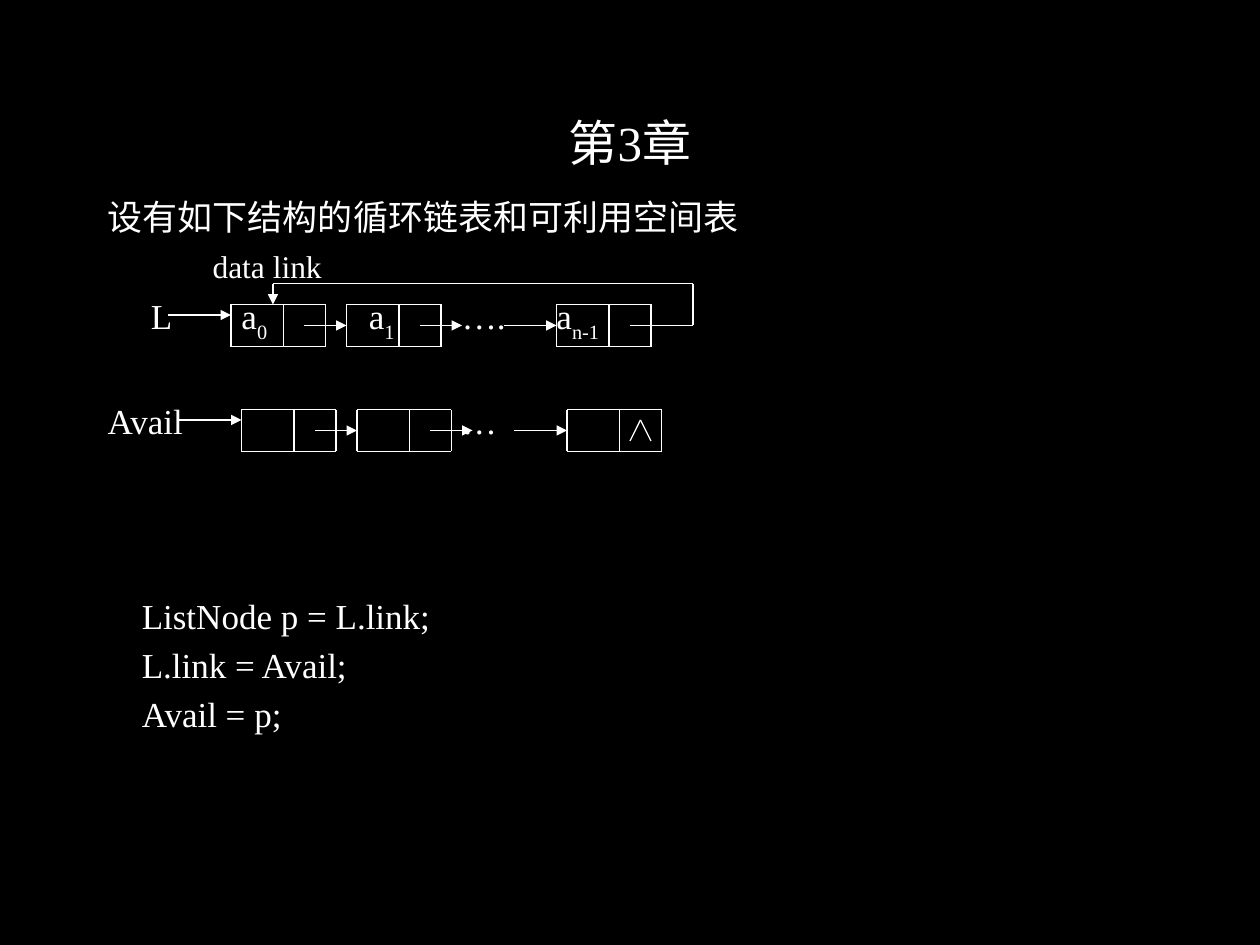
"""Build the chapter 3 slide on a circular linked list and its available-space list."""
from itertools import pairwise

from lxml.etree import SubElement
from pptx import Presentation
from pptx.dml.color import RGBColor
from pptx.enum.shapes import MSO_CONNECTOR as Connector
from pptx.enum.text import MSO_ANCHOR as Anchor, PP_ALIGN as Align
from pptx.oxml.ns import qn
from pptx.util import Pt

EMU_PER_PX = 9525
COLORS = {"background": "000000", "ink": "FFFFFF"}
FONT = "Times New Roman"
NODE_WIDTH, NODE_HEIGHT, DATA_WIDTH = 72, 32, 40


def px(value):
    return value * EMU_PER_PX


def color(name):
    return RGBColor.from_string(COLORS[name])


class ListSlide:
    def __init__(self, slide):
        self.slide = slide
        self.shapes = slide.shapes
        fill = slide.background.fill
        fill.solid()
        fill.fore_color.rgb = color("background")

    def text(self, left, top, width, height, lines, size=20,
             align=Align.LEFT, anchor=Anchor.TOP, gap=0, subscript=""):
        shape = self.shapes.add_textbox(*map(px, (left, top, width, height)))
        frame = shape.text_frame
        frame.word_wrap = True
        frame.vertical_anchor = anchor
        frame.margin_left = frame.margin_right = frame.margin_top = frame.margin_bottom = 0
        for index, line in enumerate(lines):
            paragraph = frame.add_paragraph() if index else frame.paragraphs[0]
            paragraph.alignment = align
            if index:
                paragraph.space_before = Pt(gap)
            paragraph.add_run().text = line
            if subscript:
                run = paragraph.add_run()
                run.text = subscript
                run._r.get_or_add_rPr().set("baseline", "-30000")
            paragraph.font.name = FONT
            paragraph.font.size = Pt(size)
            paragraph.font.color.rgb = color("ink")

    def line(self, start, end, arrow=False):
        connector = self.shapes.add_connector(Connector.STRAIGHT, *map(px, start + end))
        connector.line.color.rgb = color("ink")
        connector.line.width = Pt(0.75)
        SubElement(connector._element.spPr, qn("a:effectLst"))
        if arrow:
            SubElement(connector.line._get_or_add_ln(), qn("a:tailEnd"), type="triangle")

    def node(self, left, top):
        right, bottom = left + NODE_WIDTH, top + NODE_HEIGHT
        for y in (top, bottom):
            self.line((left, y), (right, y))
        for x in (left, left + DATA_WIDTH, right):
            self.line((x, top), (x, bottom))

    def chain(self, left, top):
        first, second, last = left, left + 88, left + 248
        middle = top + NODE_HEIGHT // 2
        for node_left in (first, second, last):
            self.node(node_left, top)
        self.line((first - 48, top + 8), (first, top + 8), arrow=True)
        for start, end in ((first + 56, second), (second + 56, second + 88), (last - 40, last)):
            self.line((start, middle), (end, middle), arrow=True)

    def polyline(self, points, arrow=False):
        for start, end in pairwise(points):
            self.line(start, end, arrow and end == points[-1])


def main():
    presentation = Presentation()
    presentation.slide_width, presentation.slide_height = px(960), px(720)
    page = ListSlide(presentation.slides.add_slide(presentation.slide_layouts[6]))

    page.text(72, 64, 816, 88, ["第3章"], 28, Align.CENTER, Anchor.MIDDLE)
    page.text(82, 149, 796, 34, ["设有如下结构的循环链表和可利用空间表"])
    page.text(162, 188, 100, 28, ["data link"], 18)

    for left, top, width, label, subscript in (
        (115, 224, 20, "L", ""),
        (184, 224, 30, "a", "0"),
        (281, 224, 30, "a", "1"),
        (352, 224, 40, "….", ""),
        (424, 224, 40, "a", "n-1"),
        (82, 304, 64, "Avail", ""),
        (352, 304, 32, "…", ""),
    ):
        page.text(left, top, width, 32, [label], subscript=subscript)

    page.text(108, 453, 400, 108,
              ["ListNode p = L.link;", "L.link = Avail;", "Avail = p;"], gap=4)

    page.chain(176, 232)
    page.chain(184, 312)
    page.polyline([(480, 336), (488, 320), (496, 336)])
    page.polyline([(480, 248), (528, 248), (528, 216), (208, 216), (208, 232)], arrow=True)
    presentation.save("out.pptx")


if __name__ == "__main__":
    main()
